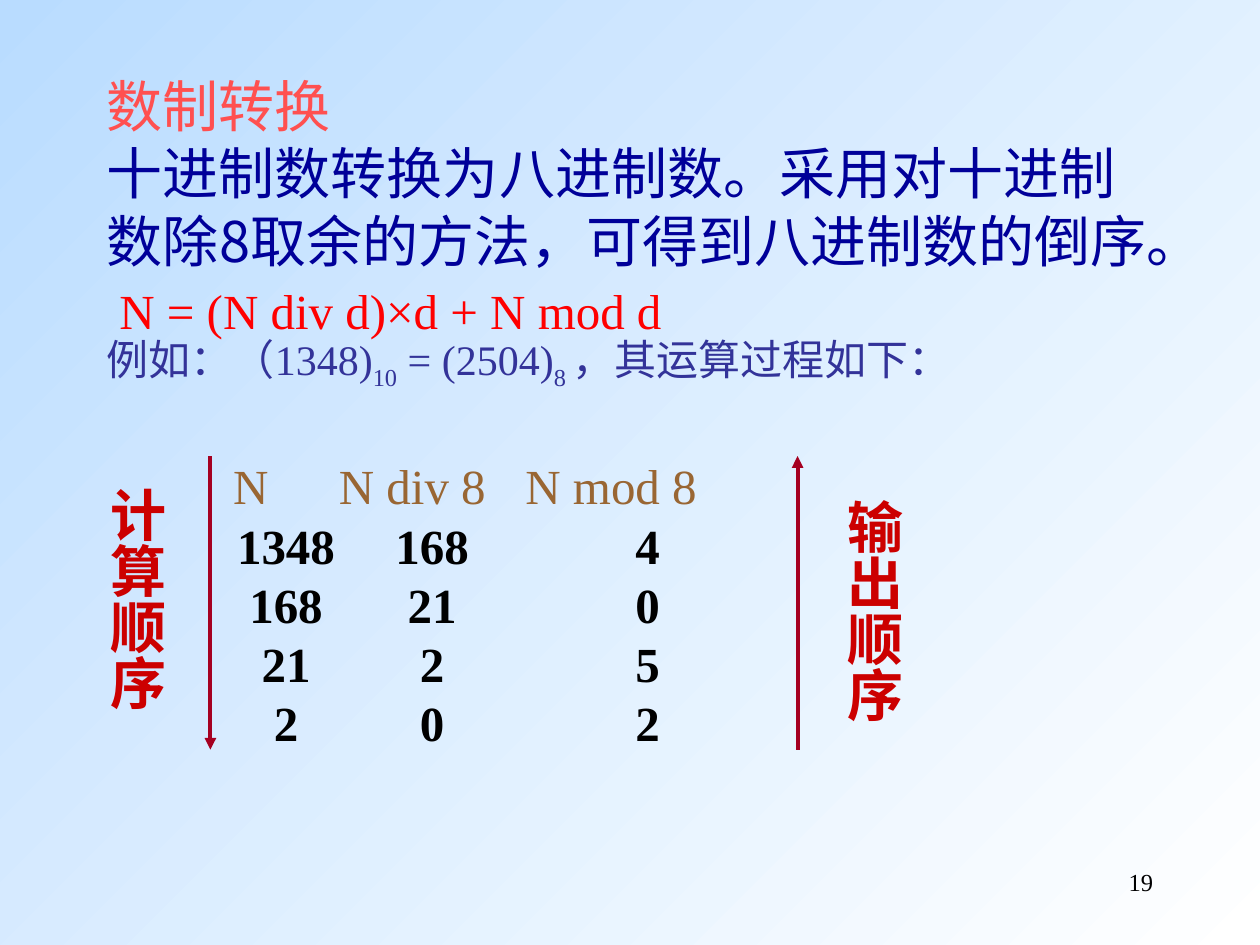
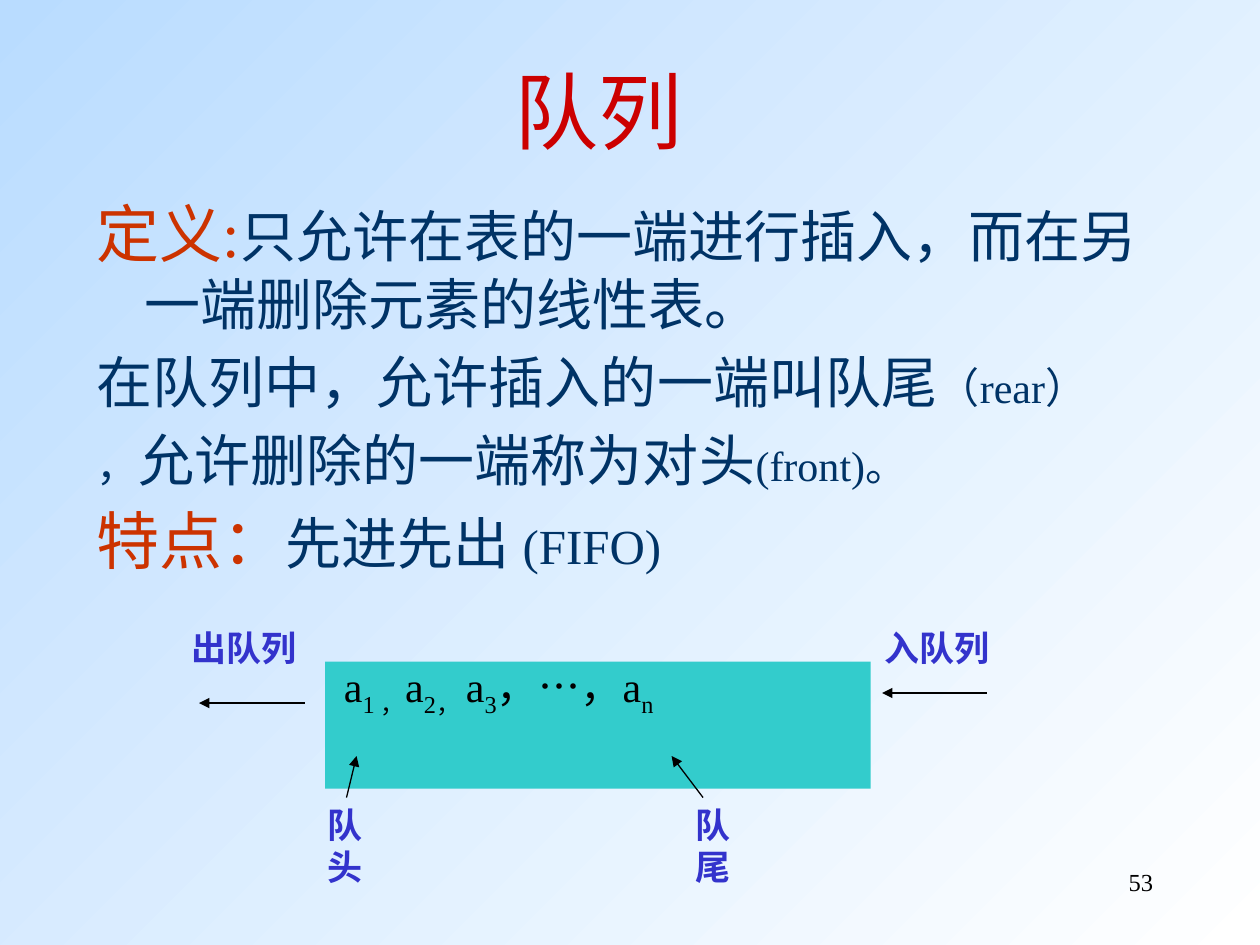
"""Build two lecture slides: number base conversion and the queue."""
from lxml import etree
from pptx import Presentation
from pptx.dml.color import RGBColor
from pptx.enum.shapes import MSO_CONNECTOR, MSO_SHAPE
from pptx.enum.text import MSO_ANCHOR, PP_ALIGN
from pptx.oxml.ns import qn
from pptx.util import Inches, Pt

LEFT, CENTER, RIGHT = PP_ALIGN.LEFT, PP_ALIGN.CENTER, PP_ALIGN.RIGHT
TOP, MIDDLE = MSO_ANCHOR.TOP, MSO_ANCHOR.MIDDLE
STRAIGHT, RECTANGLE = MSO_CONNECTOR.STRAIGHT, MSO_SHAPE.RECTANGLE

SERIF, SANS = "Times New Roman", "Noto Sans CJK SC"
BLACK, RED, NAVY = "000000", "CC0000", "003366"
ORANGE, VIOLET, INDIGO = "CC3300", "3333CC", "333399"
BROWN, CRIMSON, TEAL = "996633", "A50021", "33CCCC"
PLAIN_TABLE = "{2D5ABB26-0587-4C30-8999-92F81FD0307C}"
INSETS = (0.1, 0.05, 0.1, 0.05)
LINE_RATIO = 1.2


def color(hex_text):
    """Turn a hex string into a colour."""
    return RGBColor.from_string(hex_text)


def add_slide(presentation, number):
    """Add a slide with the shared gradient and its page number."""
    slide = presentation.slides.add_slide(presentation.slide_layouts[6])
    fill = slide.background.fill
    fill.gradient()
    fill.gradient_angle = 315
    for stop, hex_text in zip(fill.gradient_stops, ("B9DCFF", "FFFFFF")):
        stop.color.rgb = color(hex_text)
    page = add_text_box(slide, (7.17, 6.83, 2.08, 0.5))
    add_paragraph(page, [(str(number), 14, BLACK)], alignment=RIGHT)
    return slide


def set_frame(frame, insets=INSETS, anchor=TOP):
    """Set wrapping, insets and anchor of a text frame."""
    frame.word_wrap = True
    frame.vertical_anchor = anchor
    (frame.margin_left, frame.margin_top,
     frame.margin_right, frame.margin_bottom) = map(Inches, insets)
    return frame


def add_text_box(slide, box, insets=INSETS, anchor=TOP):
    """Add a text box and return its text frame."""
    shape = slide.shapes.add_textbox(*map(Inches, box))
    return set_frame(shape.text_frame, insets, anchor)


def add_run(paragraph, text, size, hex_text, bold=False, baseline=0, font=SERIF):
    """Add one styled run; a negative baseline makes a subscript."""
    run = paragraph.add_run()
    run.text = text
    run.font.size = Pt(size)
    run.font.bold = bold
    run.font.color.rgb = color(hex_text)
    run.font.name = font
    properties = run._r.get_or_add_rPr()
    etree.SubElement(properties, qn("a:ea")).set("typeface", SANS)
    if baseline:
        properties.set("baseline", str(baseline * 1000))


def add_paragraph(frame, runs, alignment=LEFT, line_size=None, before=0, hanging=0):
    """Add a paragraph of runs, using the empty first one if it is free."""
    paragraph = frame.paragraphs[0]
    if paragraph.runs:
        paragraph = frame.add_paragraph()
    paragraph.alignment = alignment
    paragraph.line_spacing = Pt((line_size or runs[0][1]) * LINE_RATIO)
    paragraph.space_before = Pt(before)
    if hanging:
        properties = paragraph._p.get_or_add_pPr()
        properties.set("marL", str(Inches(hanging)))
        properties.set("indent", str(-Inches(hanging)))
    for run in runs:
        add_run(paragraph, *run)


def add_label(slide, box, *lines):
    """Add a bold violet label, one paragraph per line."""
    frame = add_text_box(slide, box)
    for line in lines:
        add_paragraph(frame, [(line, 20, VIOLET, True)])


def add_vertical_label(slide, box, text):
    """Add a bold red label that reads downwards."""
    frame = add_text_box(slide, box, insets=(0.05, 0.05, 0.05, 0.05))
    frame.word_wrap = False
    frame._txBody.bodyPr.set("vert", "eaVert")
    add_paragraph(frame, [(text, 32, RED, True)])


def add_arrow(slide, start, end, hex_text=BLACK, width=0.75):
    """Add a straight arrow with a triangle at its end."""
    arrow = slide.shapes.add_connector(STRAIGHT, *map(Inches, start + end))
    arrow.line.color.rgb = color(hex_text)
    arrow.line.width = Pt(width)
    head = etree.SubElement(arrow.line._get_or_add_ln(), qn("a:tailEnd"))
    head.set("type", "triangle")
    etree.SubElement(arrow._element.spPr, qn("a:effectLst"))


def add_division_table(slide, left, top, widths, row_height, rows):
    """Add an unruled table with a brown header and bold values."""
    box = (left, top, sum(widths), row_height * len(rows))
    table = slide.shapes.add_table(len(rows), len(widths), *map(Inches, box)).table
    table._tbl.tblPr.find(qn("a:tableStyleId")).text = PLAIN_TABLE
    table.first_row = table.horz_banding = False
    for column, width in zip(table.columns, widths):
        column.width = Inches(width)
    for row_index, values in enumerate(rows):
        table.rows[row_index].height = Inches(row_height)
        is_header = row_index == 0
        for cell, value in zip(table.rows[row_index].cells, values):
            cell.fill.background()
            cell.margin_left = cell.margin_right = 0
            cell.margin_top = cell.margin_bottom = 0
            cell.vertical_anchor = MIDDLE
            paragraph = cell.text_frame.paragraphs[0]
            paragraph.alignment = LEFT if is_header else CENTER
            add_run(paragraph, str(value), 28, BROWN if is_header else BLACK,
                    not is_header)


def octal_steps(number):
    """List number, quotient and remainder until the quotient is zero."""
    steps = []
    while number:
        steps.append((number, number // 8, number % 8))
        number //= 8
    return steps


def build_conversion_slide(presentation):
    """Build the slide on decimal to octal conversion."""
    slide = add_slide(presentation, 19)
    frame = add_text_box(slide, (0.75, 0.52, 8.5, 2.75))
    add_paragraph(frame, [("数制转换", 32, "FF5050")])
    add_paragraph(frame, [
        ("十进制数转换为八进制数。采用对十进制数除8取余的方法，可得到八进制数的倒序。 ",
         32, "000099", False, 0, SANS),
        ("N = (N div d)×d + N mod d", 28, "FF0000"),
    ])
    add_paragraph(frame, [
        ("例如：（1348)", 24, INDIGO),
        ("10", 24, INDIGO, False, -25),
        (" = (2504)", 24, INDIGO),
        ("8 ", 24, INDIGO, False, -25),
        ("，其运算过程如下：", 24, INDIGO),
    ])
    add_division_table(slide, 1.85, 3.64, (0.84, 1.48, 1.94), 0.47,
                       [("N", "N div 8", "N mod 8")] + octal_steps(1348))
    add_vertical_label(slide, (0.67, 3.77, 0.73, 1.88), "计算顺序")
    add_vertical_label(slide, (6.52, 3.86, 0.73, 1.88), "输出顺序")
    add_arrow(slide, (1.67, 3.62), (1.67, 5.95), CRIMSON, 2.25)
    add_arrow(slide, (6.33, 5.95), (6.33, 3.62), CRIMSON, 2.25)


def add_queue_box(slide):
    """Add the teal queue with its subscripted elements."""
    shape = slide.shapes.add_shape(RECTANGLE, *map(Inches, (2.58, 5.25, 4.33, 1.01)))
    shape.shadow.inherit = False
    shape.fill.solid()
    shape.fill.fore_color.rgb = color(TEAL)
    shape.line.fill.background()
    frame = set_frame(shape.text_frame, (0.15, 0.05, 0.1, 0.05))
    pieces = (("a", "1 ，"), ("a", "2， "), ("a", "3"), ("，…，a", "n"))
    runs = []
    for base, subscript in pieces:
        runs += [(base, 24, BLACK), (subscript, 24, BLACK, False, -25)]
    add_paragraph(frame, runs)


def build_queue_slide(presentation):
    """Build the slide that defines the queue."""
    slide = add_slide(presentation, 53)
    title = add_text_box(slide, (0.5, 0.25, 8.5, 1.25), anchor=MIDDLE)
    add_paragraph(title, [("队列", 48, RED)], alignment=CENTER)

    body = add_text_box(slide, (0.67, 1.56, 8.5, 3.2))
    statements = (
        (0, [("定义:", 36, ORANGE),
             ("只允许在表的一端进行插入，而在另一端删除元素的线性表。", 32, NAVY)]),
        (6, [("在队列中，允许插入的一端叫队尾", 32, NAVY), ("（rear）", 24, NAVY)]),
        (6, [("，", 24, NAVY), ("允许删除的一端称为对头", 32, NAVY),
             ("(front)。", 24, NAVY)]),
        (10, [("特点：", 36, ORANGE), ("先进先出 ", 32, NAVY), ("(FIFO)", 28, NAVY)]),
    )
    for before, runs in statements:
        add_paragraph(body, runs, line_size=32, before=before, hanging=0.38)

    add_queue_box(slide)
    add_label(slide, (1.42, 4.92, 1.08, 0.44), "出队列")
    add_label(slide, (6.92, 4.92, 1.08, 0.44), "入队列")
    add_label(slide, (2.5, 6.33, 0.45, 0.77), "队", "头")
    add_label(slide, (5.42, 6.33, 0.45, 0.77), "队", "尾")
    for start, end in (
        ((2.42, 5.58), (1.58, 5.58)),
        ((7.83, 5.5), (7, 5.5)),
        ((2.75, 6.33), (2.83, 6)),
        ((5.58, 6.33), (5.33, 6)),
    ):
        add_arrow(slide, start, end)


def main():
    """Create the presentation and save it."""
    presentation = Presentation()
    presentation.slide_width = Inches(10)
    presentation.slide_height = Inches(7.5)
    build_conversion_slide(presentation)
    build_queue_slide(presentation)
    presentation.save("out.pptx")


if __name__ == "__main__":
    main()
